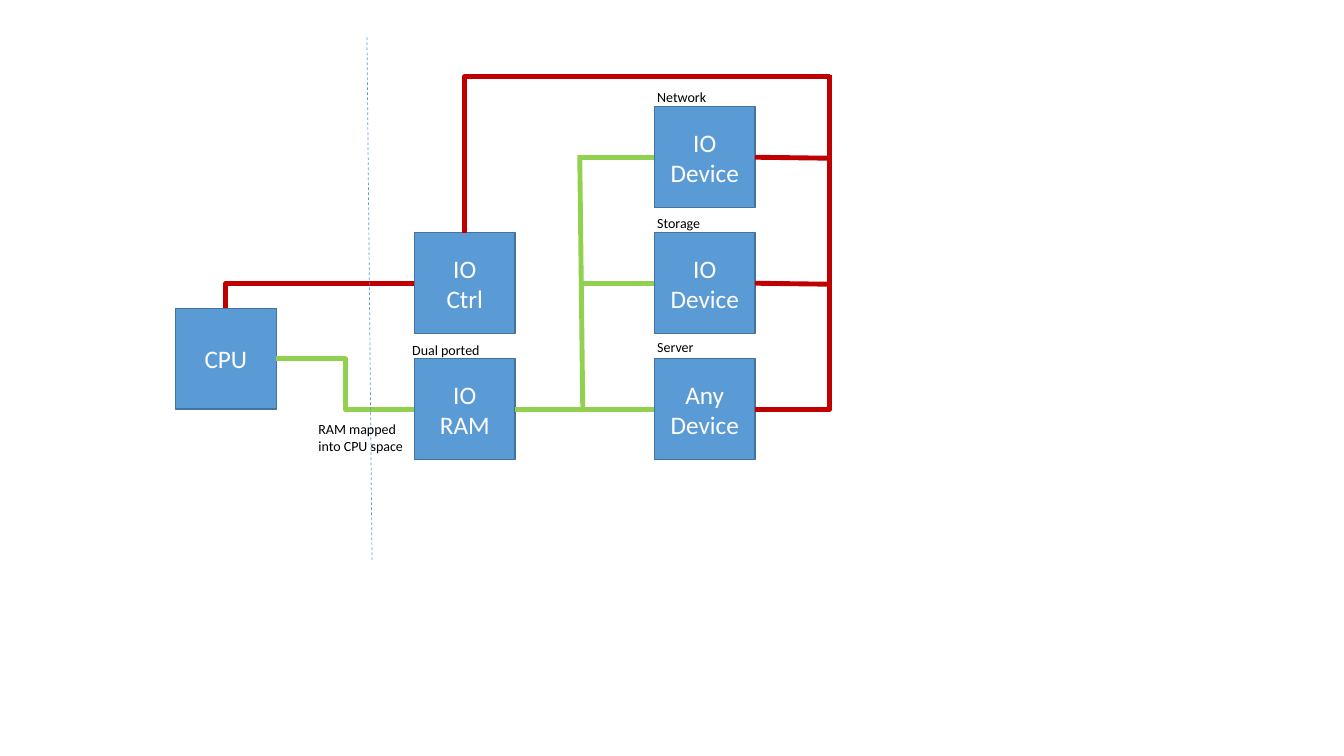
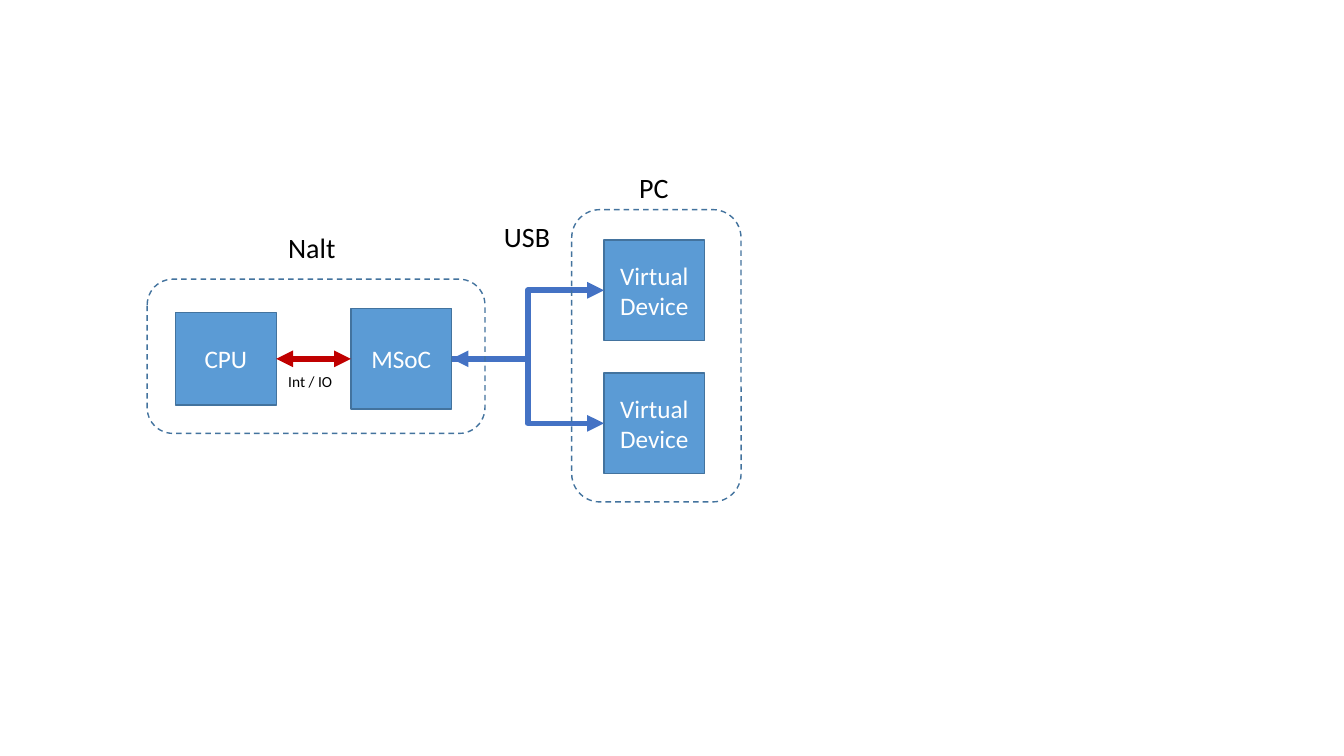
from lxml.etree import SubElement
from pptx import Presentation
from pptx.dml.color import RGBColor
from pptx.enum.dml import MSO_LINE
from pptx.enum.shapes import MSO_CONNECTOR, MSO_SHAPE
from pptx.enum.text import MSO_ANCHOR, PP_ALIGN
from pptx.oxml.ns import qn
from pptx.util import Inches, Pt

# Shared style
FONT = "Calibri"
BLUE = RGBColor(0x5B, 0x9B, 0xD5)
OUTLINE = RGBColor(0x43, 0x73, 0x9E)
USB_BLUE = RGBColor(0x44, 0x72, 0xC4)
RED = RGBColor(0xC0, 0x00, 0x00)
GREEN = RGBColor(0x92, 0xD0, 0x50)
BLACK = RGBColor(0x00, 0x00, 0x00)
WHITE = RGBColor(0xFF, 0xFF, 0xFF)
BOX = 1
TOP, LEFT, BOTTOM, RIGHT = range(4)
STRAIGHT, CORNER, STEP = "line", "bentConnector2", "bentConnector3"

# Grid: box columns and rows, bus positions
CPU_X, CPU_Y = 1.74, 3.06
IO_X, DEVICE_X = 4.11, 6.49
ROWS = [1.06 + 1.25 * row for row in range(3)]
MIDDLES = [row + BOX / 2 for row in ROWS]
RED_BUS_X, RED_BUS_Y = 8.23, 0.76
GREEN_BUS_X = 5.75
VIRTUAL_X = 5.99

# Boxes: name -> (lines, left, top, height)
# Links: (kind, start, end, colour, width, arrow ends); an end is a point or (box, side)
# Labels: (lines, left, top, width, height, size)
SLIDES = [
    {
        "boxes": {
            "control": (["IO", "Ctrl"], IO_X, ROWS[1], BOX),
            "memory": (["IO", "RAM"], IO_X, ROWS[2], BOX),
            "network": (["IO", "Device"], DEVICE_X, ROWS[0], BOX),
            "storage": (["IO", "Device"], DEVICE_X, ROWS[1], BOX),
            "server": (["Any", "Device"], DEVICE_X, ROWS[2], BOX),
            "cpu": (["CPU"], CPU_X, CPU_Y, BOX),
        },
        "links": [
            (CORNER, (RED_BUS_X, RED_BUS_Y), ("control", TOP), RED, 3.5, ""),
            (STRAIGHT, (5.78, MIDDLES[2]), (GREEN_BUS_X, 1.54), GREEN, 3.5, ""),
            (STEP, ("memory", LEFT), ("cpu", RIGHT), GREEN, 3.5, ""),
            (STRAIGHT, (GREEN_BUS_X, MIDDLES[0]), ("network", LEFT), GREEN, 3.5, ""),
            (STRAIGHT, (GREEN_BUS_X, MIDDLES[1]), ("storage", LEFT), GREEN, 3.5, ""),
            (STRAIGHT, ("memory", RIGHT), ("server", LEFT), GREEN, 3.5, ""),
            (CORNER, ("server", RIGHT), (RED_BUS_X, RED_BUS_Y - 0.02), RED, 3.5, ""),
            (STRAIGHT, ("storage", RIGHT), (RED_BUS_X, MIDDLES[1] + 0.01), RED, 3.5, ""),
            (STRAIGHT, ("network", RIGHT), (RED_BUS_X, MIDDLES[0] + 0.01), RED, 3.5, ""),
            (CORNER, ("control", LEFT), ("cpu", TOP), RED, 3.5, ""),
            (STRAIGHT, (3.64, 0.37), (3.69, 5.56), BLUE, 0.5, "dash"),
        ],
        "frames": [],
        "labels": [
            (["Network"], 6.42, 0.83, 0.7, 0.27, 10),
            (["Storage"], 6.42, 2.08, 0.64, 0.27, 10),
            (["Server"], 6.42, 3.31, 0.57, 0.27, 10),
            (["Dual ported"], 3.99, 3.34, 0.88, 0.27, 10),
            (["RAM mapped", "into CPU space"], 3.06, 4.12, 1.06, 0.44, 10),
        ],
    },
    {
        "boxes": {
            "cpu": (["CPU"], CPU_X, 3.1, 0.92),
            "upper": (["Virtual", "Device"], VIRTUAL_X, 2.38, BOX),
            "chip": (["MSoC"], 3.48, CPU_Y, BOX),
            "lower": (["Virtual", "Device"], VIRTUAL_X, 3.7, BOX),
        },
        "links": [
            (STEP, ("chip", RIGHT), ("lower", LEFT), USB_BLUE, 4, "both"),
            (STEP, ("chip", RIGHT), ("upper", LEFT), USB_BLUE, 4, "tail"),
            (STRAIGHT, ("cpu", RIGHT), ("chip", LEFT), RED, 4, "both"),
        ],
        "frames": [(1.46, 2.77, 3.35, 1.53), (5.67, 2.08, 1.68, 2.9)],
        "labels": [
            (["PC"], 6.24, 1.64, 0.5, 0.44, 20),
            (["Nalt"], 2.76, 2.24, 0.74, 0.44, 20),
            (["USB"], 4.9, 2.13, 0.66, 0.44, 20),
            (["Int / IO"], 2.76, 3.64, 0.74, 0.29, 11),
        ],
    },
]


def write_lines(text_frame, lines, size, color, alignment):
    for index, line in enumerate(lines):
        paragraph = text_frame.paragraphs[0] if index == 0 else text_frame.add_paragraph()
        paragraph.alignment = alignment
        run = paragraph.add_run()
        run.text = line
        run.font.name = FONT
        run.font.size = Pt(size)
        run.font.color.rgb = color


def add_outlined(slide, kind, left, top, width, height):
    shape = slide.shapes.add_shape(
        kind, Inches(left), Inches(top), Inches(width), Inches(height))
    shape.shadow.inherit = False
    shape.line.color.rgb = OUTLINE
    shape.line.width = Pt(1)
    return shape


def add_box(slide, lines, left, top, height):
    shape = add_outlined(slide, MSO_SHAPE.RECTANGLE, left, top, BOX, height)
    shape.fill.solid()
    shape.fill.fore_color.rgb = BLUE
    shape.text_frame.vertical_anchor = MSO_ANCHOR.MIDDLE
    write_lines(shape.text_frame, lines, 18, WHITE, PP_ALIGN.CENTER)
    return shape


def add_frame(slide, left, top, width, height):
    shape = add_outlined(slide, MSO_SHAPE.ROUNDED_RECTANGLE, left, top, width, height)
    shape.fill.background()
    shape.line.dash_style = MSO_LINE.DASH


def add_label(slide, lines, left, top, width, height, size):
    label = slide.shapes.add_textbox(
        Inches(left), Inches(top), Inches(width), Inches(height))
    label.text_frame.word_wrap = False
    write_lines(label.text_frame, lines, size, BLACK, PP_ALIGN.LEFT)


def locate(end, boxes):
    """Return the point of a link end: the middle of a box side, or a free point."""
    if end[0] not in boxes:
        return Inches(end[0]), Inches(end[1])
    box, side = boxes[end[0]], end[1]
    across = {LEFT: 0, RIGHT: 1}.get(side, 0.5)
    down = {TOP: 0, BOTTOM: 1}.get(side, 0.5)
    return int(box.left + box.width * across), int(box.top + box.height * down)


def add_link(slide, boxes, kind, start, end, color, width, ends):
    connector_type = MSO_CONNECTOR.STRAIGHT if kind == STRAIGHT else MSO_CONNECTOR.ELBOW
    connector = slide.shapes.add_connector(
        connector_type, *locate(start, boxes), *locate(end, boxes))
    properties = connector._element.spPr
    properties.find(qn("a:prstGeom")).set("prst", kind)
    if kind == STRAIGHT:
        for join, target in ((connector.begin_connect, start), (connector.end_connect, end)):
            if target[0] in boxes:
                join(boxes[target[0]], target[1])
    connector.line.color.rgb = color
    connector.line.width = Pt(width)
    if ends == "dash":
        connector.line.dash_style = MSO_LINE.DASH
    # Arrowheads and no shadow
    line = properties.find(qn("a:ln"))
    arrows = {"both": ("a:headEnd", "a:tailEnd"), "tail": ("a:tailEnd",)}
    for tag in arrows.get(ends, ()):
        SubElement(line, qn(tag), type="triangle")
    SubElement(properties, qn("a:effectLst"))


def main():
    presentation = Presentation()
    presentation.slide_width = Inches(13.33)
    presentation.slide_height = Inches(7.5)
    for content in SLIDES:
        slide = presentation.slides.add_slide(presentation.slide_layouts[6])
        boxes = {name: add_box(slide, *box) for name, box in content["boxes"].items()}
        for link in content["links"]:
            add_link(slide, boxes, *link)
        for frame in content["frames"]:
            add_frame(slide, *frame)
        for label in content["labels"]:
            add_label(slide, *label)
    presentation.save("out.pptx")


if __name__ == "__main__":
    main()
